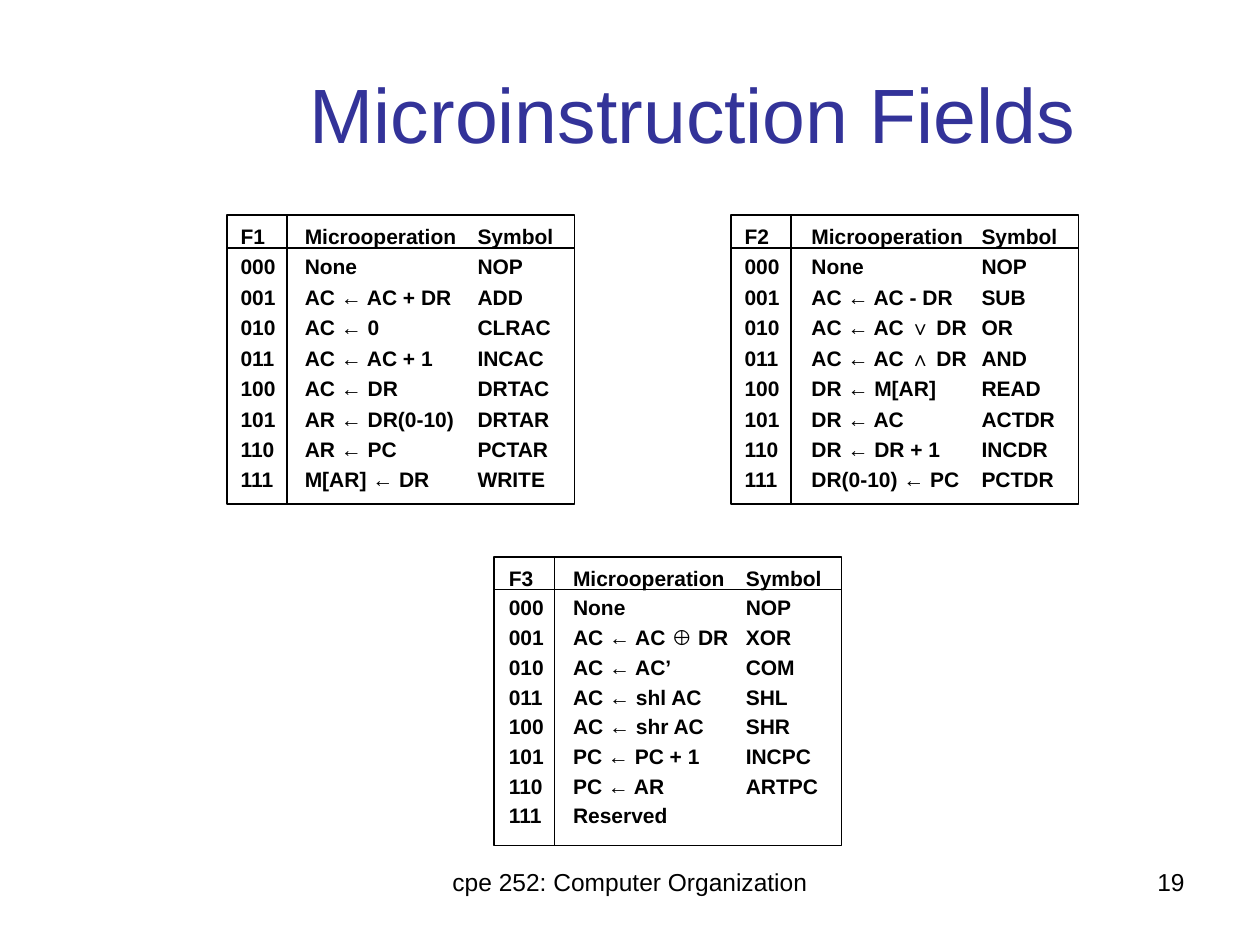
"""Build the Microinstruction Fields slide with its three encoding tables."""
from dataclasses import dataclass

from lxml import etree
from pptx import Presentation
from pptx.dml.color import RGBColor as RGB
from pptx.enum.shapes import MSO_CONNECTOR as CONN, MSO_SHAPE as SHAPE
from pptx.enum.text import MSO_ANCHOR as ANCHOR, MSO_AUTO_SIZE as AUTO, PP_ALIGN as ALIGN
from pptx.oxml.ns import qn
from pptx.util import Pt


@dataclass(frozen=True)
class Theme:
    font: str = "Arial"
    ink: RGB = RGB(0x00, 0x00, 0x00)
    heading: RGB = RGB(0x33, 0x33, 0x99)
    title_size: int = 44
    footer_size: int = 14
    table_size: int = 12
    line: int = 1


theme = Theme()


def add_run(p, text, size, color=theme.ink, bold=False):
    r = p.add_run()
    r.text = text
    r.font.name, r.font.size, r.font.bold = theme.font, Pt(size), bold
    r.font.color.rgb = color


def set_margins(tf, x, y):
    tf.margin_left = tf.margin_right = Pt(x)
    tf.margin_top = tf.margin_bottom = Pt(y)
    tf.word_wrap = True


prs = Presentation()
prs.slide_width, prs.slide_height = Pt(720), Pt(540)
s = prs.slides.add_slide(prs.slide_layouts[5])

title = s.shapes.title
title.left, title.top, title.width, title.height = Pt(90), Pt(19.5), Pt(612), Pt(90)
tf = title.text_frame
tf.vertical_anchor = ANCHOR.MIDDLE
tf.paragraphs[0].alignment = ALIGN.CENTER
add_run(tf.paragraphs[0], "Microinstruction Fields", theme.title_size, theme.heading)

footers = [
    ("cpe 252: Computer Organization", 246, 228, ALIGN.CENTER),
    ("19", 516, 168, ALIGN.RIGHT),
]
for text, x, w, align in footers:
    tf = s.shapes.add_textbox(Pt(x), Pt(492), Pt(w), Pt(37.5)).text_frame
    set_margins(tf, 7.2, 3.6)
    tf.paragraphs[0].alignment = align
    add_run(tf.paragraphs[0], text, theme.footer_size)

fields = [
    ("F1", (129.6, 123), (132.5, 122.4, 216, 160.6), 1.21, 36.7, [
        ("None", "NOP"), ("AC ← AC + DR", "ADD"), ("AC ← 0", "CLRAC"),
        ("AC ← AC + 1", "INCAC"), ("AC ← DR", "DRTAC"), ("AR ← DR(0-10)", "DRTAR"),
        ("AR ← PC", "PCTAR"), ("M[AR] ← DR", "WRITE")]),
    ("F2", (417.6, 123), (420.5, 122.4, 283.7, 160.6), 1.21, 38.2, [
        ("None", "NOP"), ("AC ← AC - DR", "SUB"), ("AC ← AC ∨ DR", "OR"),
        ("AC ← AC ∧ DR", "AND"), ("DR ← M[AR]", "READ"), ("DR ← AC", "ACTDR"),
        ("DR ← DR + 1", "INCDR"), ("DR(0-10) ← PC", "PCTDR")]),
    ("F3", (282.2, 318.2), (285.8, 318.2, 319.7, 157), 1.18, 36.7, [
        ("None", "NOP"), ("AC ← AC ⊕ DR", "XOR"), ("AC ← AC’", "COM"),
        ("AC ← shl AC", "SHL"), ("AC ← shr AC", "SHR"), ("PC ← PC + 1", "INCPC"),
        ("PC ← AR", "ARTPC"), ("Reserved",)]),
]
frame_w, frame_h = 198.7, 165
header_h, code_w = 18.7, 34.6
symbol_tab = 135.4

for name, (x, y), text_box, spacing, operation_tab, operations in fields:
    group = s.shapes.add_group_shape().shapes

    tf = group.add_textbox(*map(Pt, text_box)).text_frame
    set_margins(tf, 5, 2.2)
    tf.auto_size = AUTO.SHAPE_TO_FIT_TEXT
    rows = [(name, "Microoperation", "Symbol")]
    rows += [(f"{code:03b}", *operation) for code, operation in enumerate(operations)]
    for i, row in enumerate(rows):
        p = tf.add_paragraph() if i else tf.paragraphs[0]
        p.line_spacing = spacing
        tabs = etree.SubElement(p._p.get_or_add_pPr(), qn("a:tabLst"))
        for pos in (operation_tab, symbol_tab):
            etree.SubElement(tabs, qn("a:tab"), pos=str(int(Pt(pos))), algn="l")
        add_run(p, "\t".join(row), theme.table_size, bold=True)

    frame = group.add_shape(SHAPE.RECTANGLE, Pt(x), Pt(y), Pt(frame_w), Pt(frame_h))
    frame.shadow.inherit = False
    frame.fill.background()
    frame.line.color.rgb, frame.line.width = theme.ink, Pt(theme.line)

    rules = [
        (x, y + header_h, x + frame_w, y + header_h),
        (x + code_w, y, x + code_w, y + frame_h),
    ]
    for ends in rules:
        rule = group.add_connector(CONN.STRAIGHT, *map(Pt, ends))
        rule.line.color.rgb, rule.line.width = theme.ink, Pt(theme.line)
        etree.SubElement(rule._element.spPr, qn("a:effectLst"))

prs.save("out.pptx")
